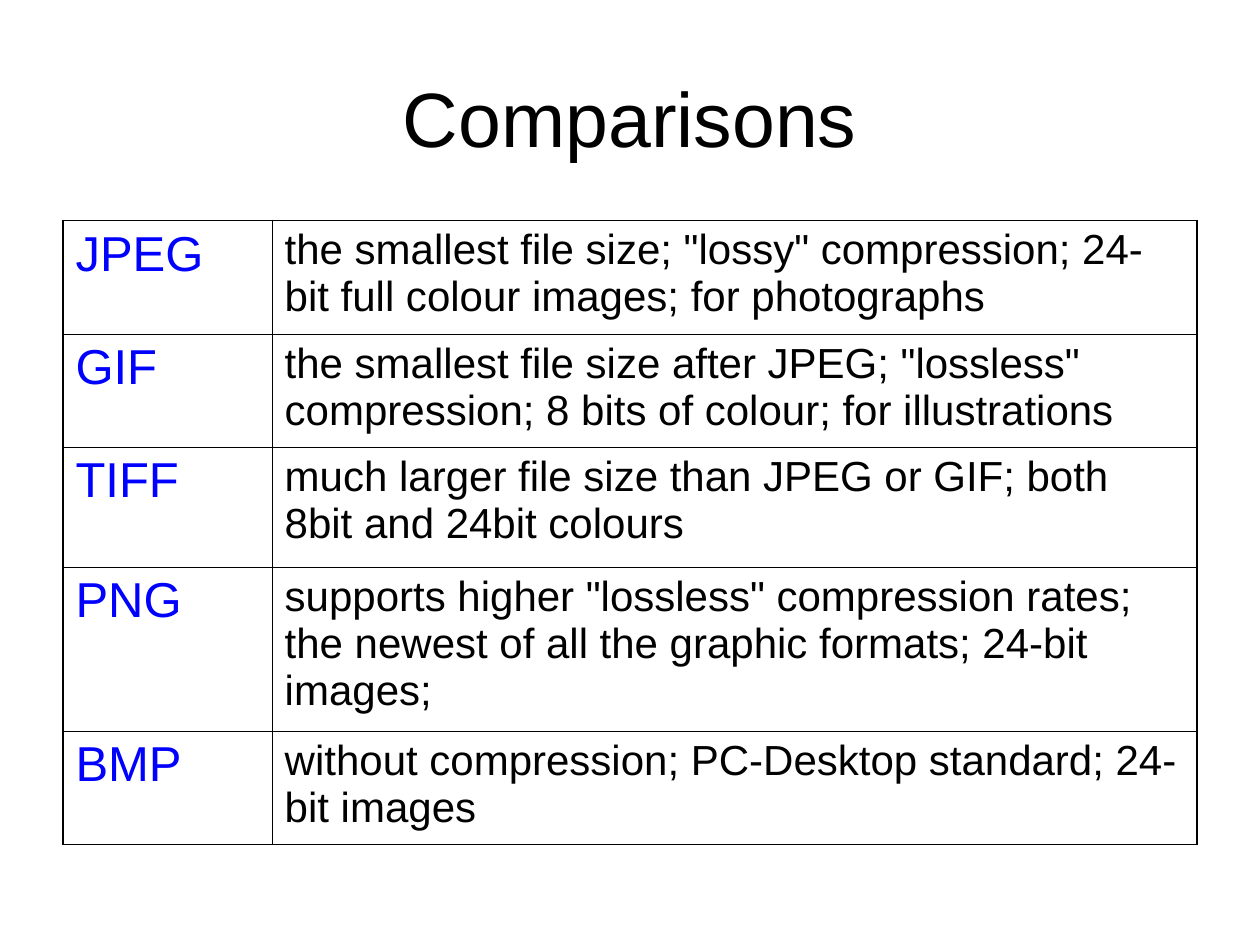
from dataclasses import dataclass

from lxml import etree
from pptx import Presentation
from pptx.dml.color import RGBColor
from pptx.enum import text
from pptx.oxml import ns
from pptx.util import Inches, Pt


@dataclass(frozen=True)
class Theme:
    font: str = "Arial"
    ink: str = "000000"
    accent: str = "0000FF"
    title_size: int = 44
    name_size: int = 28
    detail_size: int = 24
    outer_line: float = 1.08
    inner_line: float = 0.45


THEME = Theme()
WIDTH, HEIGHT = Inches(10), Inches(7.5)
MARGINS = {
    "margin_left": Inches(0.1),
    "margin_right": Inches(0.1),
    "margin_top": Inches(0.05),
    "margin_bottom": Inches(0.05),
}
COLUMN_WIDTHS = (1.66, 7.34)
ROW_HEIGHTS = (0.9, 0.9, 0.95, 1.3, 0.9)
FORMATS = (
    ("JPEG", 'the smallest file size; "lossy" compression; 24-bit full colour images; for photographs'),
    ("GIF", 'the smallest file size after JPEG; "lossless" compression; 8 bits of colour; for illustrations'),
    ("TIFF", "much larger file size than JPEG or GIF; both 8bit and 24bit colours"),
    ("PNG", 'supports higher "lossless" compression rates; the newest of all the graphic formats; 24-bit images;'),
    ("BMP", "without compression; PC-Desktop standard; 24-bit images"),
)


def apply(target, values):
    for attribute, value in values.items():
        setattr(target, attribute, value)


def write(frame, wording, size, color, align):
    paragraph = frame.paragraphs[0]
    paragraph.alignment = align
    run = paragraph.add_run()
    run.text = wording
    apply(run.font, {"name": THEME.font, "size": Pt(size)})
    run.font.color.rgb = RGBColor.from_string(color)


def draw_borders(cell, outer_sides):
    properties = cell._tc.get_or_add_tcPr()
    for side in "LRTB":
        width = THEME.outer_line if side in outer_sides else THEME.inner_line
        line = etree.SubElement(properties, ns.qn(f"a:ln{side}"), w=str(int(Pt(width))))
        fill = etree.SubElement(line, ns.qn("a:solidFill"))
        etree.SubElement(fill, ns.qn("a:srgbClr"), val=THEME.ink)


def add_heading(slide, box, wording):
    frame = slide.shapes.add_textbox(*box).text_frame
    apply(frame, {**MARGINS, "word_wrap": True, "vertical_anchor": text.MSO_ANCHOR.MIDDLE})
    write(frame, wording, THEME.title_size, THEME.ink, text.PP_ALIGN.CENTER)


def add_comparison(slide, box, formats):
    last_row, last_column = len(formats) - 1, len(COLUMN_WIDTHS) - 1
    table = slide.shapes.add_table(last_row + 1, last_column + 1, *box).table
    apply(table, {"first_row": False, "horz_banding": False})
    for column, share in zip(table.columns, COLUMN_WIDTHS):
        column.width = int(box[2] * share / sum(COLUMN_WIDTHS))
    for row, share in zip(table.rows, ROW_HEIGHTS):
        row.height = int(box[3] * share / sum(ROW_HEIGHTS))
    styles = ((THEME.name_size, THEME.accent), (THEME.detail_size, THEME.ink))
    for r, entry in enumerate(formats):
        for c, (wording, style) in enumerate(zip(entry, styles)):
            cell = table.cell(r, c)
            apply(cell, {**MARGINS, "vertical_anchor": text.MSO_ANCHOR.TOP})
            edges = {"L": c == 0, "R": c == last_column, "T": r == 0, "B": r == last_row}
            draw_borders(cell, [side for side, outer in edges.items() if outer])
            cell.fill.background()
            write(cell.text_frame, wording, *style, text.PP_ALIGN.LEFT)


def share_box(left, top, width, height):
    return int(WIDTH * left), int(HEIGHT * top), int(WIDTH * width), int(HEIGHT * height)


def main():
    deck = Presentation()
    apply(deck, {"slide_width": WIDTH, "slide_height": HEIGHT})
    slide = deck.slides.add_slide(deck.slide_layouts[6])
    add_heading(slide, share_box(0.05, 0.04, 0.9, 1 / 6), "Comparisons")
    add_comparison(slide, share_box(0.05, 7 / 30, 0.9, 0.66), FORMATS)
    deck.save("out.pptx")


if __name__ == "__main__":
    main()
